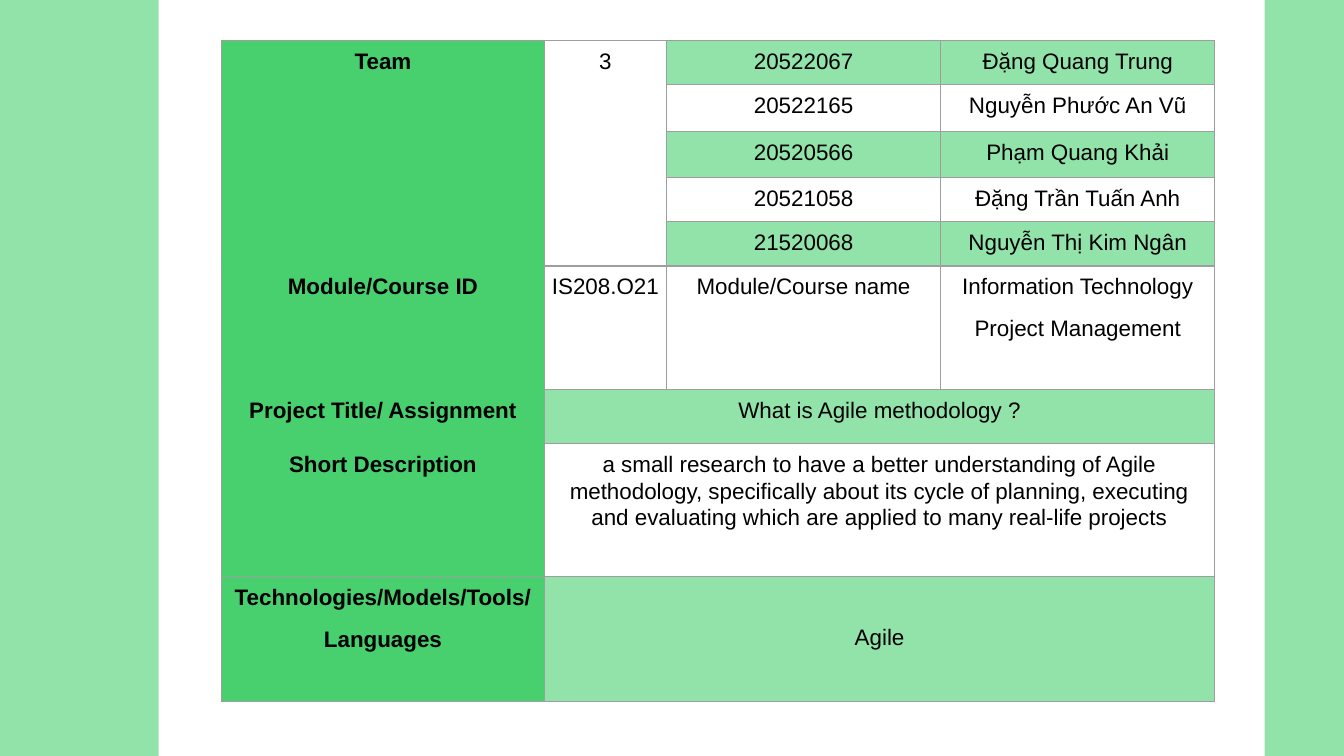
from lxml.etree import SubElement
from pptx import Presentation
from pptx.dml.color import RGBColor
from pptx.enum.shapes import MSO_SHAPE
from pptx.enum.text import PP_ALIGN
from pptx.oxml.ns import qn
from pptx.util import Inches, Pt

COLORS = {"label": "48D06E", "accent": "92E3A9", "border": "9E9E9E", "text": "000000"}
SLIDE_WIDTH = 10
SLIDE_HEIGHT = SLIDE_WIDTH * 9 / 16
SIDE_BANDS = [(0, 1.18), (9.41, 0.59)]

COLUMN_WIDTHS = [2.4, 0.91, 2.04, 2.04]
ROW_HEIGHTS = [0.33, 0.35, 0.34, 0.33, 0.33, 0.92, 0.4, 0.99, 0.93]
MEMBERS = [
    ("20522067", "Đặng Quang Trung"),
    ("20522165", "Nguyễn Phước An Vũ"),
    ("20520566", "Phạm Quang Khải"),
    ("20521058", "Đặng Trần Tuấn Anh"),
    ("21520068", "Nguyễn Thị Kim Ngân"),
]
COURSE = ["Module/Course ID", "IS208.O21", "Module/Course name",
          "Information Technology\nProject Management"]
DETAILS = [
    ("Project Title/ Assignment", "What is Agile methodology ?"),
    ("Short Description",
     "a small research to have a better understanding of Agile methodology, "
     "specifically about its cycle of planning, executing and evaluating "
     "which are applied to many real-life projects"),
    ("Technologies/Models/Tools/\nLanguages", "Agile"),
]
COURSE_ROW = len(MEMBERS)
LAST_ROW = len(ROW_HEIGHTS) - 1


def rgb(name):
    return RGBColor.from_string(COLORS[name])


def fill_color(row, column):
    if column == 0:
        return "label"
    if row < COURSE_ROW:
        return "accent" if column > 1 and row % 2 == 0 else None
    return "accent" if row > COURSE_ROW and row % 2 == 0 else None


def add_borders(cell, row, column):
    hidden = set()
    if column == 0:
        if 0 < row < LAST_ROW:
            hidden.add("lnT")
        if row < LAST_ROW - 1:
            hidden.add("lnB")
    properties = cell._tc.get_or_add_tcPr()
    for side in ("lnL", "lnR", "lnT", "lnB"):
        line = SubElement(properties, qn(f"a:{side}"), w=str(Pt(0.75)))
        fill = SubElement(line, qn("a:solidFill"))
        color = COLORS["label" if side in hidden else "border"]
        SubElement(fill, qn("a:srgbClr"), val=color)


def style_cell(cell, row, column):
    add_borders(cell, row, column)
    color = fill_color(row, column)
    if color:
        cell.fill.solid()
        cell.fill.fore_color.rgb = rgb(color)
    else:
        cell.fill.background()
    cell.margin_left = cell.margin_right = Inches(0.05)
    cell.margin_top = cell.margin_bottom = Inches(0.05)


def write_cell(cell, text, bold):
    cell.text = text
    for paragraph in cell.text_frame.paragraphs:
        paragraph.alignment = PP_ALIGN.CENTER
        paragraph.line_spacing = 1.07
        paragraph.space_after = Pt(8)
        font = paragraph.font
        font.name, font.size, font.bold = "Arial", Pt(12), bold
        font.color.rgb = rgb("text")


presentation = Presentation()
presentation.slide_width = Inches(SLIDE_WIDTH)
presentation.slide_height = Inches(SLIDE_HEIGHT)
slide = presentation.slides.add_slide(presentation.slide_layouts[6])

for left, width in SIDE_BANDS:
    band = slide.shapes.add_shape(MSO_SHAPE.RECTANGLE, Inches(left), 0,
                                  Inches(width), Inches(SLIDE_HEIGHT))
    band.shadow.inherit = False
    band.fill.solid()
    band.fill.fore_color.rgb = rgb("accent")
    band.line.fill.background()

table = slide.shapes.add_table(
    len(ROW_HEIGHTS), len(COLUMN_WIDTHS), Inches(1.65), Inches(0.3),
    Inches(sum(COLUMN_WIDTHS)), Inches(sum(ROW_HEIGHTS))).table
table.first_row = table.horz_banding = False
for column, width in zip(table.columns, COLUMN_WIDTHS):
    column.width = Inches(width)
for row, height in zip(table.rows, ROW_HEIGHTS):
    row.height = Inches(height)

for row in range(len(ROW_HEIGHTS)):
    for column in range(len(COLUMN_WIDTHS)):
        style_cell(table.cell(row, column), row, column)

texts = {(0, 0): "Team", (0, 1): "3"}
for row, member in enumerate(MEMBERS):
    texts.update({(row, column): text for column, text in enumerate(member, 2)})
texts.update({(COURSE_ROW, column): text for column, text in enumerate(COURSE)})
for row, detail in enumerate(DETAILS, COURSE_ROW + 1):
    texts.update({(row, column): text for column, text in enumerate(detail)})
    table.cell(row, 1).merge(table.cell(row, 3))
for column in (0, 1):
    table.cell(0, column).merge(table.cell(COURSE_ROW - 1, column))

for (row, column), text in texts.items():
    write_cell(table.cell(row, column), text, column == 0)
table.cell(LAST_ROW, 1).margin_top = Inches(0.35)

presentation.save("out.pptx")
